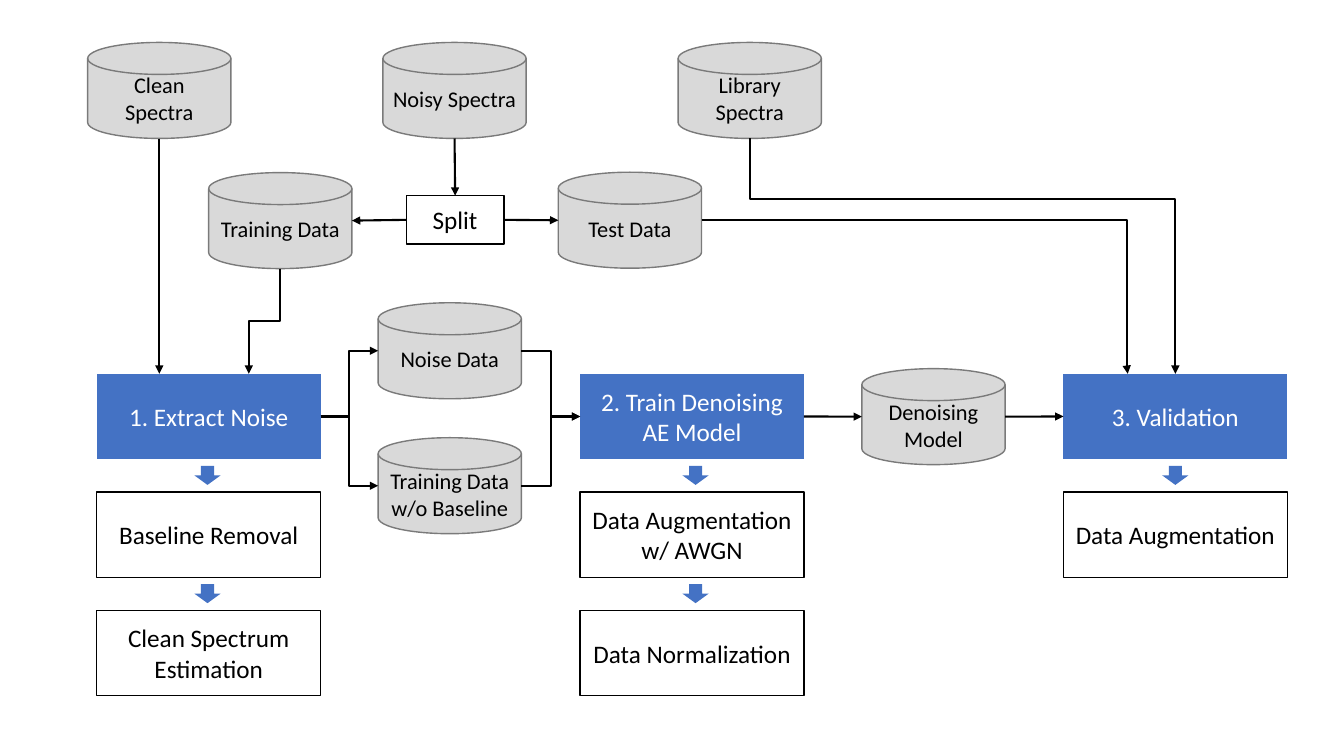
from dataclasses import dataclass
from typing import Any

import lxml.etree
import pptx
import pptx.dml.color
import pptx.enum.shapes
import pptx.enum.text
import pptx.oxml.ns
import pptx.util

Cm, Pt = pptx.util.Cm, pptx.util.Pt
Preset = pptx.enum.shapes.MSO_SHAPE
Connector = pptx.enum.shapes.MSO_CONNECTOR
qn = pptx.oxml.ns.qn
Point = tuple[float, float]


@dataclass(frozen=True)
class Theme:
    font: str = "Calibri"
    blue: str = "4472C4"
    grey: str = "D9D9D9"
    grey_line: str = "7A7A7A"
    black: str = "000000"
    white: str = "FFFFFF"
    box_size: float = 18
    disk_size: float = 16
    outline: float = 1
    flow_line: float = 1.5


THEME = Theme()


@dataclass(frozen=True)
class Style:
    preset: Any
    fill: str
    line: str | None = None
    text: str = THEME.black
    size: float = THEME.box_size


STAGE = Style(Preset.FLOWCHART_PROCESS, THEME.blue, text=THEME.white)
STEP = Style(Preset.FLOWCHART_PROCESS, THEME.white, THEME.black)
DISK = Style(Preset.FLOWCHART_MAGNETIC_DISK, THEME.grey, THEME.grey_line, size=THEME.disk_size)
ARROW = Style(Preset.DOWN_ARROW, THEME.blue)


@dataclass(frozen=True)
class Node:
    """A shape with its place in centimetres."""
    text: str
    style: Style
    x: float
    y: float
    width: float
    height: float

    @property
    def left(self) -> Point:
        return self.x, self.y + self.height / 2

    @property
    def right(self) -> Point:
        return self.x + self.width, self.y + self.height / 2

    @property
    def bottom(self) -> Point:
        return self.x + self.width / 2, self.y + self.height

    def top(self, x: float | None = None) -> Point:
        return (self.x + self.width / 2 if x is None else x), self.y


@dataclass(frozen=True)
class Flow:
    """An arrow; bend is the share of the way at which it turns."""
    start: Point
    end: Point
    bend: float | None = None
    vertical: bool = False


@dataclass(frozen=True)
class Column:
    stage: str
    steps: tuple[str, ...]
    arrow_x: float


def rgb(value: str) -> pptx.dml.color.RGBColor:
    return pptx.dml.color.RGBColor.from_string(value)


def apply(target: Any, values: dict[str, Any]) -> None:
    for name, value in values.items():
        setattr(target, name, value)


def draw_node(slide: Any, node: Node) -> None:
    style = node.style
    shape = slide.shapes.add_shape(
        style.preset, Cm(node.x), Cm(node.y), Cm(node.width), Cm(node.height))
    shape.shadow.inherit = False
    shape.fill.solid()
    shape.fill.fore_color.rgb = rgb(style.fill)
    if style.line:
        shape.line.color.rgb = rgb(style.line)
        shape.line.width = Pt(THEME.outline)
    else:
        shape.line.fill.background()
    if not node.text:
        return
    frame = shape.text_frame
    apply(frame, {"text": node.text, "word_wrap": True,
                  "vertical_anchor": pptx.enum.text.MSO_ANCHOR.MIDDLE})
    for paragraph in frame.paragraphs:
        paragraph.alignment = pptx.enum.text.PP_ALIGN.CENTER
        for run in paragraph.runs:
            apply(run.font, {"name": THEME.font, "size": Pt(style.size)})
            run.font.color.rgb = rgb(style.text)


def draw_flow(slide: Any, flow: Flow) -> None:
    (x1, y1), (x2, y2) = flow.start, flow.end
    rightward = x2 > x1
    if flow.vertical:
        # Lay the elbow on its side about its centre; it is then turned upright
        middle_x, middle_y = (x1 + x2) / 2, (y1 + y2) / 2
        half_x, half_y = (y2 - y1) / 2, abs(x2 - x1) / 2
        if rightward:
            half_x = -half_x
        x1, x2 = middle_x - half_x, middle_x + half_x
        y1, y2 = middle_y - half_y, middle_y + half_y
    kind = Connector.STRAIGHT if flow.bend is None else Connector.ELBOW
    connector = slide.shapes.add_connector(kind, Cm(x1), Cm(y1), Cm(x2), Cm(y2))
    connector.line.color.rgb = rgb(THEME.black)
    connector.line.width = Pt(THEME.flow_line)
    properties = connector.element.spPr
    if flow.vertical:
        properties.find(qn("a:xfrm")).set("rot", str((270 if rightward else 90) * 60000))
    if flow.bend is not None:
        guides = properties.find(qn("a:prstGeom")).find(qn("a:avLst"))
        lxml.etree.SubElement(guides, qn("a:gd"), name="adj1",
                              fmla=f"val {round(flow.bend * 100000)}")
    lxml.etree.SubElement(properties.find(qn("a:ln")), qn("a:tailEnd"), type="triangle")
    lxml.etree.SubElement(properties, qn("a:effectLst"))


# Grid of the three stages and their steps
BOX_WIDTH, BOX_HEIGHT = 5.64, 2.15
COLUMN_X, COLUMN_PITCH = 2.44, 12.18
ROW_Y, ROW_PITCH = 9.42, 2.98
ARROW_WIDTH, ARROW_HEIGHT, ARROW_GAP = 0.66, 0.48, 0.17
COLUMNS = (
    Column("1. Extract Noise", ("Baseline Removal", "Clean Spectrum Estimation"), 4.9),
    Column("2. Train Denoising AE Model",
           ("Data Augmentation w/ AWGN", "Data Normalization"), 17.2),
    Column("3. Validation", ("Data Augmentation",), 29.29),
)


def box(text: str, style: Style, column: int, row: int) -> Node:
    return Node(text, style, COLUMN_X + column * COLUMN_PITCH, ROW_Y + row * ROW_PITCH,
                BOX_WIDTH, BOX_HEIGHT)


def disk(text: str, x: float, y: float) -> Node:
    return Node(text, DISK, x, y, 3.61, 2.42)


def main() -> None:
    presentation = pptx.Presentation()
    apply(presentation, {"slide_width": Cm(33.87), "slide_height": Cm(19.05)})
    slide = presentation.slides.add_slide(presentation.slide_layouts[6])

    # Stages, steps and the block arrows between them
    stages = [box(column.stage, STAGE, index, 0) for index, column in enumerate(COLUMNS)]
    nodes = list(stages)
    for index, column in enumerate(COLUMNS):
        for row, text in enumerate(column.steps, start=1):
            step = box(text, STEP, index, row)
            arrow_y = step.y - ROW_PITCH + BOX_HEIGHT + ARROW_GAP
            nodes += [step, Node("", ARROW, column.arrow_x, arrow_y, ARROW_WIDTH, ARROW_HEIGHT)]

    # Data stores and the split
    clean, noisy, library = (
        disk(f"{name} Spectra", 2.21 + index * 7.44, 1.07)
        for index, name in enumerate(("Clean", "Noisy", "Library")))
    training = disk("Training Data", 5.26, 4.35)
    test = disk("Test Data", 14.07, 4.34)
    noise = disk("Noise Data", 9.53, 7.63)
    corrected = disk("Training Data\nw/o Baseline", 9.53, 11.03)
    model = disk("Denoising Model", 21.72, 9.29)
    split = Node("Split", STEP, 10.24, 4.93, 2.46, 1.22)
    nodes += [clean, noisy, library, training, test, noise, corrected, model, split]

    # Flows
    extract, train, validate = stages
    flows = [
        Flow(noisy.bottom, split.top()),
        Flow(split.left, training.right),
        Flow(split.right, test.left),
        Flow(clean.bottom, extract.top(clean.bottom[0])),
        Flow(train.right, model.left),
        Flow(model.right, validate.left),
        Flow(training.bottom, extract.top(6.27), 0.5, vertical=True),
        Flow(test.right, validate.top(28.42), 0.998),
        Flow(library.bottom, validate.top(), 0.256, vertical=True),
    ]
    for store in (noise, corrected):
        flows += [Flow(extract.right, store.left, 0.5), Flow(store.right, train.left, 0.5)]

    for node in nodes:
        draw_node(slide, node)
    for flow in flows:
        draw_flow(slide, flow)
    presentation.save("out.pptx")


if __name__ == "__main__":
    main()
